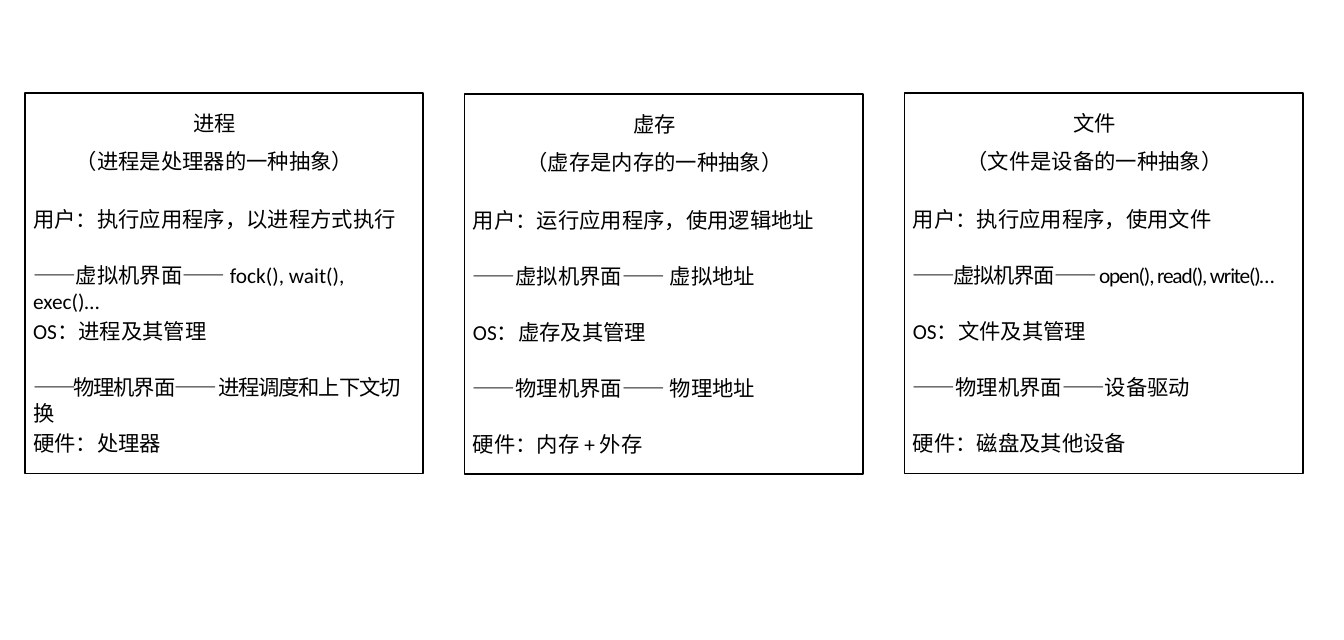
from pptx import Presentation
from pptx.dml.color import RGBColor
from pptx.enum.shapes import MSO_SHAPE
from pptx.enum.text import MSO_AUTO_SIZE, PP_ALIGN
from pptx.util import Inches, Pt

COLORS = {"ink": "000000"}
FONT = "Calibri"
PANEL_WIDTH, PANEL_HEIGHT = 4.67, 4.46
PANEL_LEFT, PANEL_STEP = 0.29, 5.155
ROW_OFFSET, ROW_STEP = 1.28, 0.656

# Each panel: top, heading lines, layer rows, index of the tightened row
PANELS = [
    (1.09, ["进程", "（进程是处理器的一种抽象）"],
     ["用户：执行应用程序，以进程方式执行",
      "——虚拟机界面—— fock(), wait(), exec()…",
      "OS：进程及其管理",
      "——物理机界面—— 进程调度和上下文切换",
      "硬件：处理器"], 3),
    (1.10, ["虚存", "（虚存是内存的一种抽象）"],
     ["用户：运行应用程序，使用逻辑地址",
      "——虚拟机界面—— 虚拟地址",
      "OS：虚存及其管理",
      "——物理机界面—— 物理地址",
      "硬件：内存 + 外存"], None),
    (1.09, ["文件", "（文件是设备的一种抽象）"],
     ["用户：执行应用程序，使用文件",
      "——虚拟机界面—— open(), read(), write()…",
      "OS：文件及其管理",
      "——物理机界面——设备驱动",
      "硬件：磁盘及其他设备"], 1),
]


def add_frame(slide, left, top):
    shape = slide.shapes.add_shape(
        MSO_SHAPE.RECTANGLE, Inches(left), Inches(top),
        Inches(PANEL_WIDTH), Inches(PANEL_HEIGHT))
    shape.shadow.inherit = False
    shape.fill.background()
    shape.line.color.rgb = RGBColor.from_string(COLORS["ink"])
    shape.line.width = Pt(1.5)


def add_text(slide, left, top, width, height, lines,
             alignment=PP_ALIGN.LEFT, line_spacing=None, tight=False):
    box = slide.shapes.add_textbox(
        Inches(left), Inches(top), Inches(width), Inches(height))
    text_frame = box.text_frame
    text_frame.word_wrap = True
    text_frame.auto_size = MSO_AUTO_SIZE.SHAPE_TO_FIT_TEXT
    text_frame.text = "\n".join(lines)
    for paragraph in text_frame.paragraphs:
        paragraph.alignment = alignment
        paragraph.line_spacing = line_spacing
        for run in paragraph.runs:
            run.font.name = FONT
            run.font.size = Pt(18)
            run.font.color.rgb = RGBColor.from_string(COLORS["ink"])
            if tight:
                # Character spacing of -1 pt
                run.font._element.set("spc", "-100")


def add_panel(slide, left, top, heading, rows, tight_row):
    add_frame(slide, left, top)
    add_text(slide, left + 0.03, top, 4.39, 0.96, heading,
             PP_ALIGN.CENTER, line_spacing=1.5)
    for index, row in enumerate(rows):
        add_text(slide, left, top + ROW_OFFSET + index * ROW_STEP,
                 PANEL_WIDTH, 0.4, [row], tight=index == tight_row)


def main():
    presentation = Presentation()
    presentation.slide_width = Inches(15.75)
    presentation.slide_height = Inches(7.5)
    slide = presentation.slides.add_slide(presentation.slide_layouts[6])

    # Three abstractions side by side
    for column, (top, heading, rows, tight_row) in enumerate(PANELS):
        left = PANEL_LEFT + column * PANEL_STEP
        add_panel(slide, left, top, heading, rows, tight_row)

    presentation.save("out.pptx")


if __name__ == "__main__":
    main()
